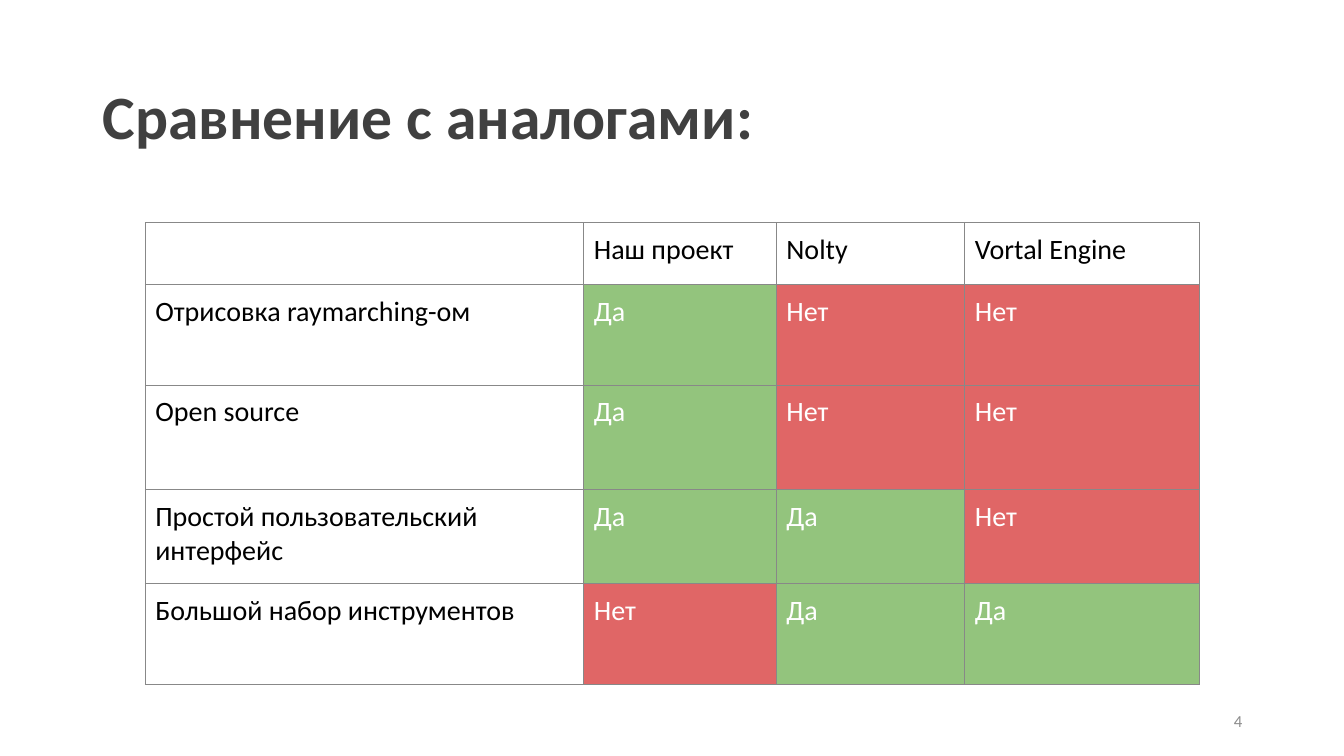
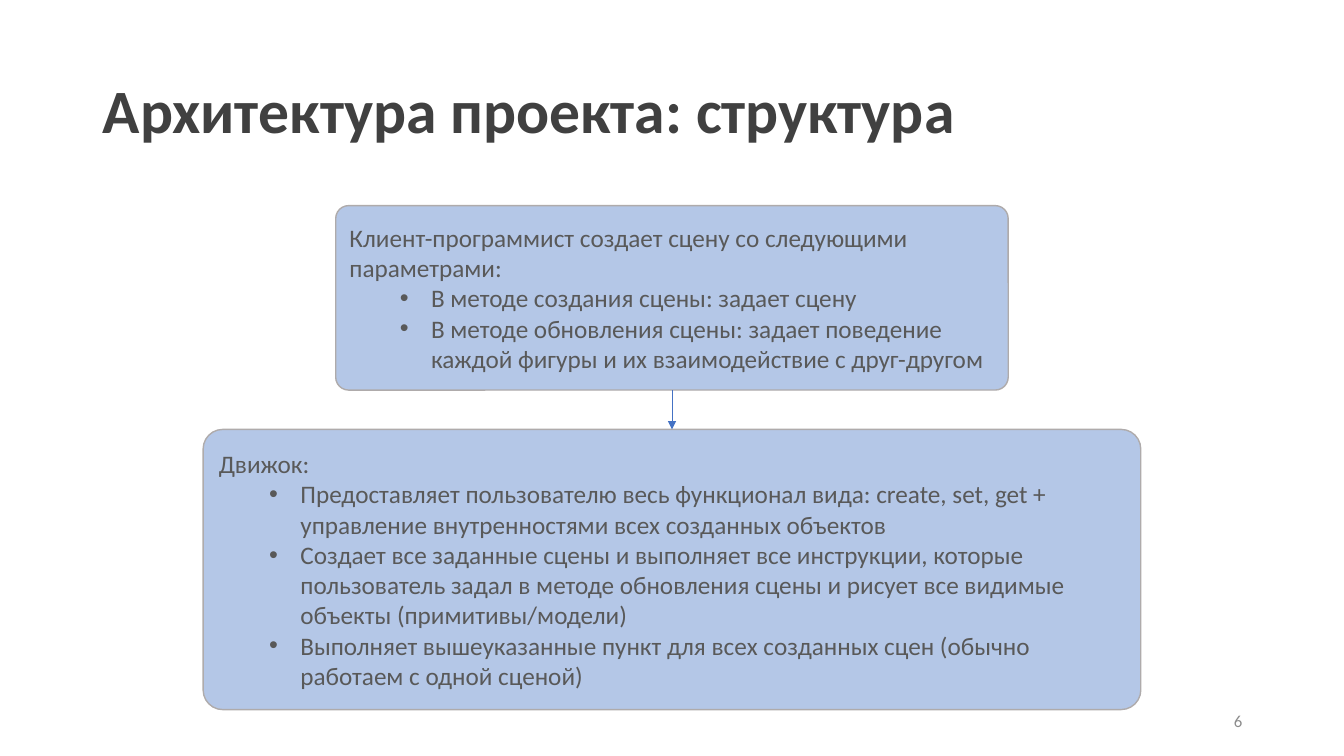
from lxml import etree
from pptx import Presentation
from pptx.dml.color import RGBColor
from pptx.enum.shapes import MSO_CONNECTOR, MSO_SHAPE
from pptx.enum.text import MSO_ANCHOR, MSO_AUTO_SIZE, PP_ALIGN
from pptx.oxml.ns import qn
from pptx.util import Inches, Pt

LEFT, RIGHT = PP_ALIGN.LEFT, PP_ALIGN.RIGHT
MIDDLE = MSO_ANCHOR.MIDDLE
NO_AUTOFIT = MSO_AUTO_SIZE.NONE
ROUNDED_RECTANGLE = MSO_SHAPE.ROUNDED_RECTANGLE
STRAIGHT = MSO_CONNECTOR.STRAIGHT

COLORS = {
    "title": "404040",
    "number": "8C8C8C",
    "black": "000000",
    "white": "FFFFFF",
    "border": "888888",
    "yes": "93C47D",
    "no": "E06666",
    "box": "B4C7E7",
    "box_line": "AFABAB",
    "box_text": "595959",
    "arrow": "4472C4",
}
FONT = "Calibri"
SLIDE_WIDTH = 13.33
TITLE_ONLY_LAYOUT = 5


def color(name):
    return RGBColor.from_string(COLORS[name])


def write_text(paragraph, text, size, color_name, bold=False, align=LEFT,
               line_spacing=None, bullet=False):
    if bullet:
        paragraph.level = 1
        properties = paragraph._p.get_or_add_pPr()
        properties.set("marL", str(Inches(0.81)))
        properties.set("indent", str(Inches(-0.31)))
        etree.SubElement(properties, qn("a:buFont"), typeface="Arial")
        etree.SubElement(properties, qn("a:buChar"), char="•")
    paragraph.alignment = align
    if line_spacing:
        paragraph.line_spacing = line_spacing
    paragraph.text = text
    font = paragraph.font
    font.name, font.size, font.bold = FONT, Pt(size), bold
    font.color.rgb = color(color_name)


presentation = Presentation()
presentation.slide_width = Inches(SLIDE_WIDTH)
presentation.slide_height = Inches(7.5)

# Titles and slide numbers
slides = []
for title_text, title_top, number in [
    ("Сравнение с аналогами:", 0.46, "4"),
    ("Архитектура проекта: структура", 0.4, "6"),
]:
    slide = presentation.slides.add_slide(presentation.slide_layouts[TITLE_ONLY_LAYOUT])
    slides.append(slide)
    title = slide.shapes.title
    title.left, title.top = Inches(0.92), Inches(title_top)
    title.width, title.height = Inches(11.5), Inches(1.45)
    title.text_frame.auto_size = NO_AUTOFIT
    title.text_frame.vertical_anchor = MIDDLE
    write_text(title.text_frame.paragraphs[0], title_text, 44, "title",
               bold=True, line_spacing=0.9)

    number_box = slide.shapes.add_textbox(Inches(9.42), Inches(6.95), Inches(3), Inches(0.4))
    number_box.text_frame.word_wrap = True
    number_box.text_frame.vertical_anchor = MIDDLE
    write_text(number_box.text_frame.paragraphs[0], number, 12, "number", align=RIGHT)

comparison_slide, structure_slide = slides

# Comparison table
YES, NO = "Да", "Нет"
ANSWER_FILLS = {YES: "yes", NO: "no"}
table_rows = [
    ["", "Наш проект", "Nolty", "Vortal Engine"],
    ["Отрисовка raymarching-ом", YES, NO, NO],
    ["Open source", YES, NO, NO],
    ["Простой пользовательский интерфейс", YES, YES, NO],
    ["Большой набор инструментов", NO, YES, YES],
]
column_widths = [4.35, 1.91, 1.87, 2.33]
row_heights = [0.61, 1, 1.04, 0.93, 1]

table = comparison_slide.shapes.add_table(
    len(row_heights), len(column_widths), Inches(1.44), Inches(2.21),
    Inches(sum(column_widths)), Inches(sum(row_heights))).table
table.first_row = table.horz_banding = False
for column, width in zip(table.columns, column_widths):
    column.width = Inches(width)
for row, height, texts in zip(table.rows, row_heights, table_rows):
    row.height = Inches(height)
    for cell, text in zip(row.cells, texts):
        cell.margin_left = cell.margin_right = Inches(0.1)
        cell.margin_top = cell.margin_bottom = Inches(0.1)
        cell_properties = cell._tc.get_or_add_tcPr()
        for side in ("a:lnL", "a:lnR", "a:lnT", "a:lnB"):
            border = etree.SubElement(cell_properties, qn(side), w=str(Pt(0.75)))
            border_fill = etree.SubElement(border, qn("a:solidFill"))
            etree.SubElement(border_fill, qn("a:srgbClr"), val=COLORS["border"])
        cell.fill.solid()
        cell.fill.fore_color.rgb = color(ANSWER_FILLS.get(text, "white"))
        if text:
            write_text(cell.text_frame.paragraphs[0], text, 20,
                       "white" if text in ANSWER_FILLS else "black")

# Structure boxes, centred on the slide
boxes = []
for top, width, height, heading, points in [
    (2.04, 6.67, 1.83, "Клиент-программист создает сцену со следующими параметрами:", [
        "В методе создания сцены: задает сцену",
        "В методе обновления сцены: задает поведение каждой фигуры и их "
        "взаимодействие с друг-другом",
    ]),
    (4.26, 9.3, 2.78, "Движок:", [
        "Предоставляет пользователю весь функционал вида: create, set, get + "
        "управление внутренностями всех созданных объектов",
        "Создает все заданные сцены и выполняет все инструкции, которые "
        "пользователь задал в методе обновления сцены и рисует все видимые "
        "объекты (примитивы/модели)",
        "Выполняет вышеуказанные пункт для всех созданных сцен (обычно "
        "работаем с одной сценой)",
    ]),
]:
    box = structure_slide.shapes.add_shape(
        ROUNDED_RECTANGLE, Inches((SLIDE_WIDTH - width) / 2), Inches(top),
        Inches(width), Inches(height))
    boxes.append(box)
    box.shadow.inherit = False
    box.adjustments[0] = 0.07
    box.fill.solid()
    box.fill.fore_color.rgb = color("box")
    box.line.color.rgb = color("box_line")
    box.line.width = Pt(1)
    text_frame = box.text_frame
    text_frame.word_wrap = True
    text_frame.vertical_anchor = MIDDLE
    write_text(text_frame.paragraphs[0], heading, 18, "box_text")
    for point in points:
        write_text(text_frame.add_paragraph(), point, 18, "box_text", bullet=True)

# Arrow from the client box down to the engine box
BOTTOM_SITE, TOP_SITE = 2, 0
client_box, engine_box = boxes
arrow = structure_slide.shapes.add_connector(STRAIGHT, 0, 0, 0, 0)
arrow.begin_connect(client_box, BOTTOM_SITE)
arrow.end_connect(engine_box, TOP_SITE)
arrow.line.color.rgb = color("arrow")
arrow.line.width = Pt(0.5)
etree.SubElement(arrow.line._get_or_add_ln(), qn("a:tailEnd"), type="triangle")
etree.SubElement(arrow._element.spPr, qn("a:effectLst"))

presentation.save("out.pptx")
